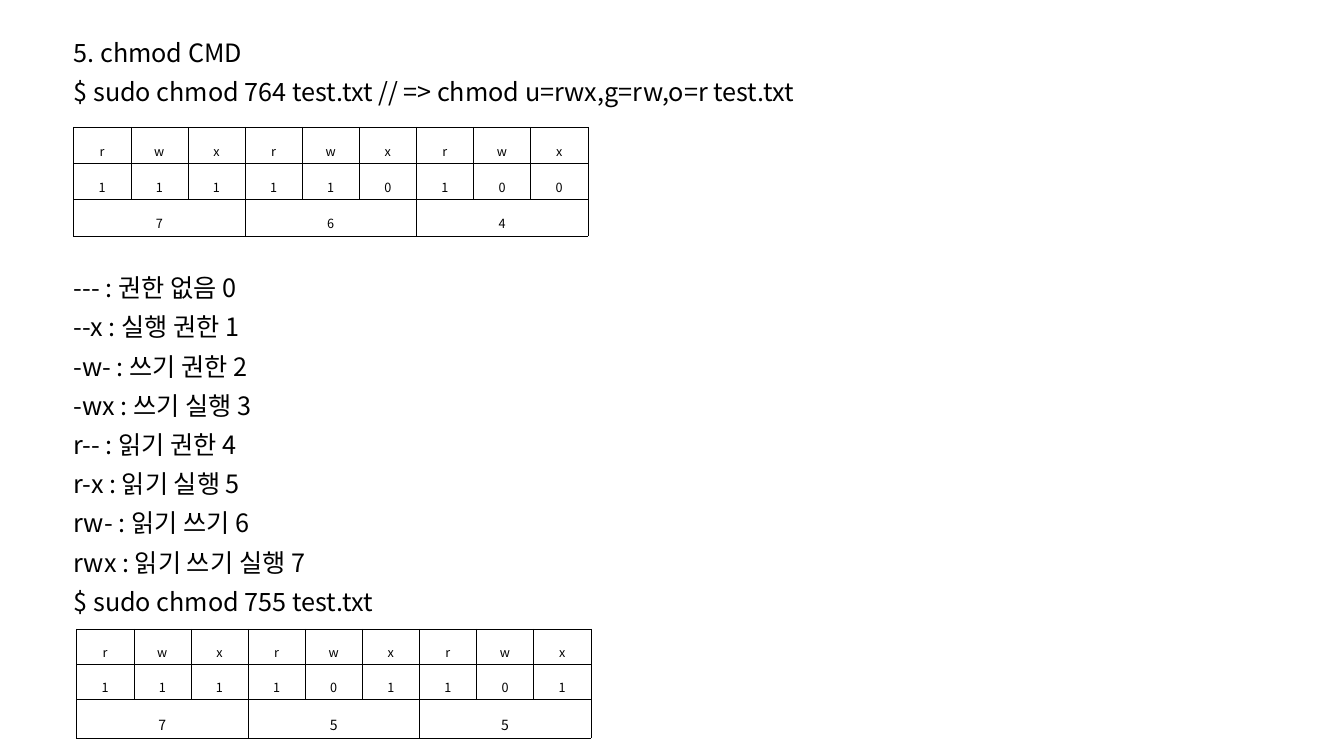
import pptx
import pptx.util
import pptx.dml.color
import pptx.enum.text
import pptx.oxml
import pptx.oxml.ns

Inches, Pt = pptx.util.Inches, pptx.util.Pt
ALIGN = pptx.enum.text.PP_ALIGN
ANCHOR = pptx.enum.text.MSO_ANCHOR

FONT = "Noto Sans CJK KR"
COLORS = {"ink": "000000"}
LINE_HEIGHT = 28
LINES_BESIDE_TABLE = 4

COMMANDS = [
    "5. chmod CMD",
    "$ sudo chmod 764 test.txt // => chmod u=rwx,g=rw,o=r test.txt",
]
PERMISSIONS = [
    "--- : 권한 없음 0",
    "--x : 실행 권한 1",
    "-w- : 쓰기 권한 2",
    "-wx : 쓰기 실행 3",
    "r-- : 읽기 권한 4",
    "r-x : 읽기 실행 5",
    "rw- : 읽기 쓰기 6",
    "rwx : 읽기 쓰기 실행 7",
    "$ sudo chmod 755 test.txt",
]
MODE_TABLES = [
    {"mode": "764", "left": 0.73, "top": 1.26, "rows": [0.36, 0.36, 0.36], "digit_size": 9},
    {"mode": "755", "left": 0.76, "top": 6.24, "rows": [0.35, 0.35, 0.38], "digit_size": 10},
]
TABLE_WIDTH = 5.1


def style_paragraph(para, size, align, spacing):
    para.alignment = align
    para.line_spacing = spacing
    para.font.size = Pt(size)
    para.font.name = FONT
    para.font.color.rgb = pptx.dml.color.RGBColor.from_string(COLORS["ink"])


def add_cell_borders(cell):
    properties = cell._tc.get_or_add_tcPr()
    for index, side in enumerate(("lnL", "lnR", "lnT", "lnB")):
        border = pptx.oxml.parse_xml(
            f'<a:{side} {pptx.oxml.ns.nsdecls("a")} w="{Pt(0.28)}">'
            f'<a:solidFill><a:srgbClr val="{COLORS["ink"]}"/></a:solidFill></a:{side}>'
        )
        properties.insert(index, border)


def fill_cell(cell, text, size):
    cell.text = text
    cell.vertical_anchor = ANCHOR.MIDDLE
    cell.margin_left = cell.margin_right = Inches(0.07)
    cell.margin_top = cell.margin_bottom = Inches(0.02)
    style_paragraph(cell.text_frame.paragraphs[0], size, ALIGN.CENTER, 1.6)


def add_mode_table(page, mode, left, top, rows, digit_size):
    """Show an octal mode as permission letters, bits and digits."""
    bits = "".join(f"{int(digit):03b}" for digit in mode)
    frame = page.shapes.add_table(
        len(rows), len(bits), Inches(left), Inches(top), Inches(TABLE_WIDTH), Inches(sum(rows))
    )
    table = frame.table
    table.first_row = table.horz_banding = False
    for row, height in zip(table.rows, rows):
        row.height = Inches(height)
    for cell in table.iter_cells():
        cell.fill.background()
        add_cell_borders(cell)
    for column, bit in enumerate(bits):
        fill_cell(table.cell(0, column), "rwx"[column % 3], 9)
        fill_cell(table.cell(1, column), bit, 9)
    for group, digit in enumerate(mode):
        first = table.cell(2, group * 3)
        first.merge(table.cell(2, group * 3 + 2))
        fill_cell(first, digit, digit_size)


def add_notes_text(page):
    body = page.placeholders[1]
    body.left, body.top = Inches(0.63), Inches(0.23)
    body.width, body.height = Inches(12.27), Inches(7.08)
    frame = body.text_frame
    frame.word_wrap = True
    frame.auto_size = pptx.enum.text.MSO_AUTO_SIZE.NONE
    frame.vertical_anchor = ANCHOR.TOP
    frame.text = "\n".join(COMMANDS + PERMISSIONS)
    for para in frame.paragraphs:
        style_paragraph(para, 18, ALIGN.JUSTIFY, Pt(LINE_HEIGHT))
        para.space_before = Pt(0)
    frame.paragraphs[len(COMMANDS)].space_before = Pt(LINES_BESIDE_TABLE * LINE_HEIGHT)


def main():
    deck = pptx.Presentation()
    deck.slide_width, deck.slide_height = Inches(13.33), Inches(7.5)
    page = deck.slides.add_slide(deck.slide_layouts[0])
    heading = page.shapes.title.element
    heading.getparent().remove(heading)
    add_notes_text(page)
    for mode_table in MODE_TABLES:
        add_mode_table(page, **mode_table)
    deck.save("out.pptx")


if __name__ == "__main__":
    main()
